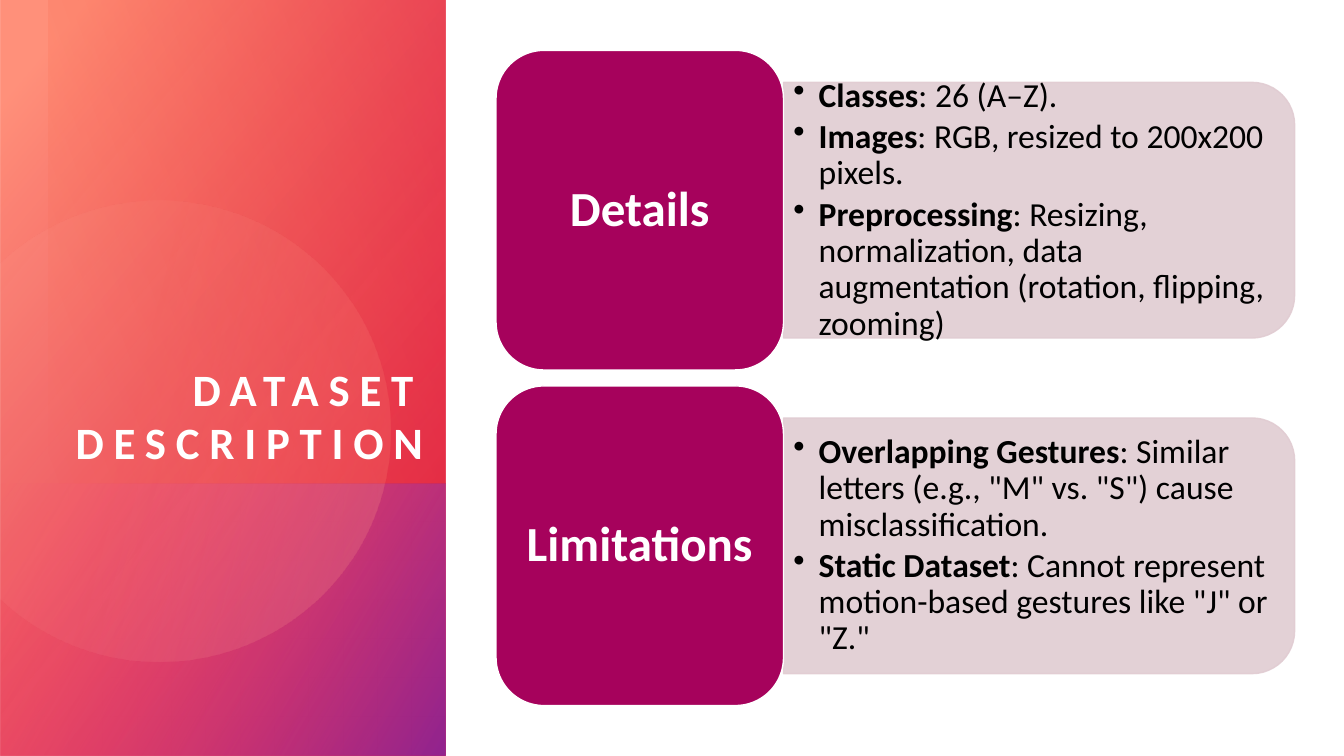
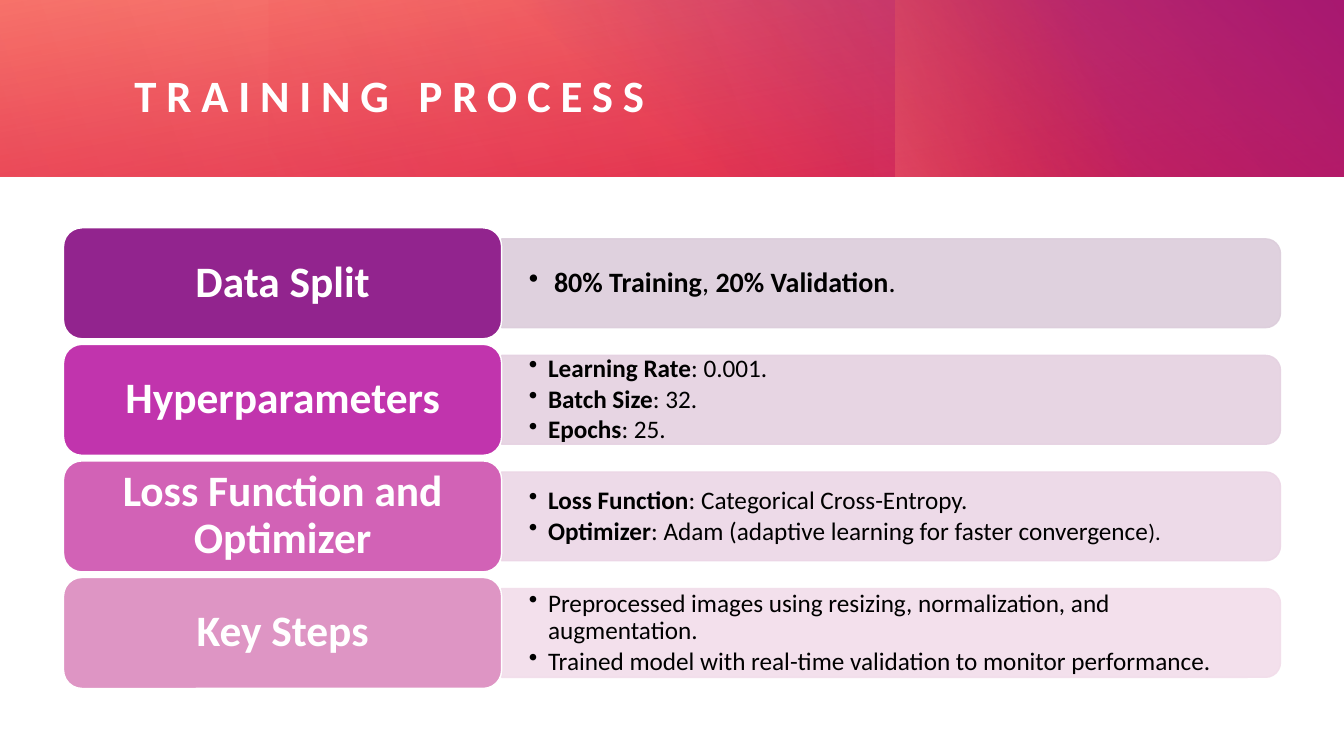
from dataclasses import dataclass
from math import acos, cos, sin

from lxml.etree import SubElement
from pptx import Presentation
from pptx.dml.color import RGBColor
from pptx.enum.shapes import MSO_SHAPE as Preset
from pptx.enum.text import MSO_ANCHOR as Anchor, PP_ALIGN as Align
from pptx.oxml.ns import qn
from pptx.util import Inches, Pt


@dataclass(frozen=True)
class Theme:
    """Colours, type sizes and proportions shared by the slides."""
    font: str = "Calibri"
    white: str = "FFFFFF"
    black: str = "000000"
    red: str = "DA002F"
    orange: str = "FE4A00"
    coral: str = "FF907A"
    peach: str = "FFBCAF"
    pink: str = "FF5076"
    purple: str = "92248E"
    title_size: int = 32
    title_spacing: int = 700
    label_share: float = 0.36
    bar_share: float = 0.8
    gap_share: float = 0.05
    corner_inset: float = 0.05


THEME = Theme()
WIDTH, HEIGHT = 13.33, 7.5


@dataclass(frozen=True)
class Box:
    """A rectangle in inches."""
    left: float
    top: float
    width: float
    height: float

    def portion(self, left, top, width, height):
        """Return a box given as shares of this one."""
        return Box(self.left + left * self.width, self.top + top * self.height,
                   width * self.width, height * self.height)

    def turned(self):
        """Return the box with its sides swapped about the same centre."""
        shift = (self.width - self.height) / 2
        return Box(self.left + shift, self.top - shift, self.height, self.width)

    def lengths(self):
        """Return the four lengths in drawing units."""
        return [Inches(value) for value in (self.left, self.top, self.width, self.height)]


@dataclass(frozen=True)
class Row:
    """A label with its bullets, colours and bullet size."""
    label: str
    bullets: tuple
    fill: str
    tint: str
    size: int
    indent: float = 0.25


def bold(text):
    """Describe a bold run."""
    return text, True, None


def plain(text, size=None):
    """Describe a regular run."""
    return text, False, size


def set_alpha(colour, percent):
    """Make a colour element partly transparent."""
    SubElement(colour, qn("a:alpha"), val=str(percent * 1000))


def fill_gradient(shape, stops, angle):
    """Fill a shape with a linear gradient of (position, colour, opacity) stops."""
    shape.fill.gradient()
    gradient = shape._element.spPr.find(qn("a:gradFill"))
    for child in list(gradient):
        gradient.remove(child)
    stop_list = SubElement(gradient, qn("a:gsLst"))
    for position, colour, opacity in stops:
        stop = SubElement(stop_list, qn("a:gs"), pos=str(position * 1000))
        set_alpha(SubElement(stop, qn("a:srgbClr"), val=colour), opacity)
    SubElement(gradient, qn("a:lin"), ang=str(angle * 60000), scaled="0")
    shape.line.fill.background()
    shape.shadow.inherit = False


def add_preset(slide, preset, box, rotation=0, flip=False):
    """Add a preset shape that covers the box once rotated."""
    frame = box.turned() if rotation % 180 else box
    shape = slide.shapes.add_shape(preset, *frame.lengths())
    shape.rotation = rotation
    shape.shadow.inherit = False
    if flip:
        shape._element.spPr.find(qn("a:xfrm")).set("flipH", "1")
    return shape


def add_layer(slide, box, stops, angle, rotation=0, flip=False):
    """Add one gradient rectangle of a decorated area."""
    shape = add_preset(slide, Preset.RECTANGLE, box, rotation, flip)
    fill_gradient(shape, stops, angle)


def fill_solid(shape, colour, line_colour, opacity=100):
    """Give a shape a solid fill and a one-point line."""
    shape.fill.solid()
    shape.fill.fore_color.rgb = RGBColor.from_string(colour)
    shape.line.width = Pt(1)
    shape.line.color.rgb = RGBColor.from_string(line_colour)
    if opacity < 100:
        for element in shape._element.spPr.iter(qn("a:srgbClr")):
            set_alpha(element, opacity)


def set_frame(shape, anchor, across=0, down=0):
    """Set wrapping, anchor and insets, and return the text frame."""
    frame = shape.text_frame
    frame.word_wrap = True
    frame.vertical_anchor = anchor
    frame.margin_left = frame.margin_right = Inches(across)
    frame.margin_top = frame.margin_bottom = Inches(down)
    return frame


def add_run(paragraph, text, size, colour, is_bold):
    """Append a run of text."""
    run = paragraph.add_run()
    run.text = text
    run.font.name = THEME.font
    run.font.size = Pt(size)
    run.font.bold = is_bold
    run.font.color.rgb = RGBColor.from_string(colour)
    return run


def space_lines(paragraph, after):
    """Set tight lines and the space after as a percentage."""
    paragraph.line_spacing = 0.9
    properties = paragraph._p.get_or_add_pPr()
    space = SubElement(properties, qn("a:spcAft"))
    SubElement(space, qn("a:spcPct"), val=str(after * 1000))
    return properties


def add_title(slide, box, text, align, anchor):
    """Add the widely spaced slide title."""
    frame = set_frame(slide.shapes.add_textbox(*box.lengths()), anchor)
    paragraph = frame.paragraphs[0]
    paragraph.alignment = align
    run = add_run(paragraph, text, THEME.title_size, THEME.white, True)
    run._r.get_or_add_rPr().set("spc", str(THEME.title_spacing))


def add_bullets(slide, box, row, insets):
    """Add the bulleted text of a row."""
    frame = set_frame(slide.shapes.add_textbox(*box.lengths()), Anchor.MIDDLE, *insets)
    for index, runs in enumerate(row.bullets):
        paragraph = frame.add_paragraph() if index else frame.paragraphs[0]
        properties = space_lines(paragraph, 15)
        indent = Inches(row.indent)
        properties.set("marL", str(indent))
        properties.set("indent", str(-indent))
        SubElement(properties, qn("a:buChar"), char="•")
        for text, is_bold, size in runs:
            add_run(paragraph, text, size or row.size, THEME.black, is_bold)


def add_row(slide, box, row, label_size, label_insets, bullet_insets):
    """Add a label with the bar and bullets to its right."""
    share = THEME.label_share
    bar_box = box.portion(share, (1 - THEME.bar_share) / 2, 1 - share, THEME.bar_share)
    bar = add_preset(slide, Preset.ROUND_2_SAME_RECTANGLE, bar_box, 90)
    fill_solid(bar, row.tint, row.tint, 90)
    inset = THEME.corner_inset * bar_box.height
    text_box = Box(bar_box.left, bar_box.top + inset,
                   bar_box.width - inset, bar_box.height - 2 * inset)
    add_bullets(slide, text_box, row, bullet_insets)
    label = add_preset(slide, Preset.ROUNDED_RECTANGLE, box.portion(0, 0, share, 1))
    fill_solid(label, row.fill, THEME.white)
    paragraph = set_frame(label, Anchor.MIDDLE, *label_insets).paragraphs[0]
    paragraph.alignment = Align.CENTER
    space_lines(paragraph, 35)
    add_run(paragraph, row.label, label_size, THEME.white, True)


def add_rows(slide, box, rows, label_size, label_insets, bullet_insets):
    """Stack rows in the box at equal gaps."""
    share = 1 / (len(rows) + THEME.gap_share * (len(rows) - 1))
    for index, row in enumerate(rows):
        row_box = box.portion(0, index * share * (1 + THEME.gap_share), 1, share)
        add_row(slide, row_box, row, label_size, label_insets, bullet_insets)


def add_cut_circle(slide, box):
    """Add a pale circle cut off by the left edge of the box."""
    centre_x, centre_y = box.left + 1.58, box.top + 0.57 * box.height
    radius, steps = 2.29, 120
    reach = acos((box.left - centre_x) / radius)
    angles = [reach * (2 * step / steps - 1) for step in range(steps + 1)]
    points = [(Inches(centre_x + radius * cos(angle)), Inches(centre_y + radius * sin(angle)))
              for angle in angles]
    builder = slide.shapes.build_freeform(*points[0])
    builder.add_line_segments(points[1:], close=True)
    fill_gradient(builder.convert_to_shape(),
                  [(36, THEME.peach, 6), (100, THEME.coral, 26)], 14)


def add_side_panel(slide, box, title):
    """Add the coloured panel with its title at the left."""
    add_layer(slide, box, [(8, THEME.coral, 100), (100, THEME.red, 89)], 50, 270, True)
    add_layer(slide, box.portion(0, 0.64, 1, 0.36),
              [(0, THEME.pink, 0), (99, THEME.purple, 100)], 60, 270, True)
    add_cut_circle(slide, box)
    add_layer(slide, box.portion(0.11, 0, 0.89, 0.64),
              [(0, THEME.red, 29), (100, THEME.orange, 0)], 110, 90, True)
    add_title(slide, box.portion(0.11, 0.13, 0.84, 0.49), title, Align.RIGHT, Anchor.BOTTOM)


def add_header_band(slide, box, title):
    """Add the coloured band with its title at the top."""
    add_layer(slide, box, [(0, THEME.red, 83), (100, THEME.coral, 100)], 260)
    add_layer(slide, box.portion(0.36, 0, 0.64, 1),
              [(22, THEME.purple, 0), (99, THEME.purple, 100)], 310)
    add_layer(slide, box.portion(2 / 3, 0, 0.28, 1),
              [(45, THEME.orange, 0), (99, THEME.coral, 33)], 250, 270)
    add_layer(slide, box.portion(0.2, 0, 0.8, 1),
              [(0, THEME.red, 30), (99, THEME.red, 0)], 330, 180)
    add_layer(slide, box.portion(0, 0, 0.65, 1),
              [(0, THEME.red, 21), (99, THEME.red, 0)], 340)
    add_title(slide, box.portion(0.1, 0.23, 0.85, 0.61), title, Align.LEFT, Anchor.MIDDLE)


DATASET_ROWS = [
    Row("Details", (
        (bold("Classes"), plain(": 26 (A–Z).")),
        (bold("Images"), plain(": RGB, resized to 200x200 pixels.")),
        (bold("Preprocessing"), plain(": Resizing, normalization, data augmentation "
                                      "(rotation, flipping, zooming)")),
    ), "A6025C", "E1CCD2", 24),
    Row("Limitations", (
        (bold("Overlapping Gestures"),
         plain(': Similar letters (e.g., "M" vs. "S") cause misclassification.')),
        (bold("Static Dataset"),
         plain(': Cannot represent motion-based gestures like "J" or "Z."')),
    ), "A6025C", "E1CCD2", 24),
]

TRAINING_ROWS = [
    Row("Data Split", (
        (bold("80% Training"), plain(", "), bold("20% Validation"), plain(".")),
    ), THEME.purple, "DCCDDB", 20),
    Row("Hyperparameters", (
        (bold("Learning Rate"), plain(": 0.001.")),
        (bold("Batch Size"), plain(": 32.")),
        (bold("Epochs"), plain(": 25.")),
    ), "C134AD", "E5D1E1", 18, 0.19),
    Row("Loss Function and Optimizer", (
        (bold("Loss Function"), plain(": Categorical Cross-Entropy.")),
        (bold("Optimizer"), plain(": Adam (adaptive learning for faster convergence"),
         plain(").", 16)),
    ), "D262B6", "ECD6E6", 18, 0.19),
    Row("Key Steps", (
        (plain("Preprocessed images using resizing, normalization, and augmentation."),),
        (plain("Trained model with real-time validation to monitor performance."),),
    ), "DE95C4", "F2DDEA", 18, 0.19),
]


def main():
    """Build both slides and save the presentation."""
    presentation = Presentation()
    presentation.slide_width, presentation.slide_height = Inches(WIDTH), Inches(HEIGHT)
    blank = presentation.slide_layouts[6]
    dataset, training = [presentation.slides.add_slide(blank) for _ in range(2)]
    add_side_panel(dataset, Box(0, 0, 4.42, HEIGHT), "DATASET DESCRIPTION")
    add_rows(dataset, Box(4.92, 0.5, 7.92, 6.5), DATASET_ROWS, 35, (0.15, 0.07), (0.1, 0.05))
    add_header_band(training, Box(0, 0, WIDTH, 1.75), "TRAINING PROCESS")
    add_rows(training, Box(0.63, 2.26, 12.07, 4.57), TRAINING_ROWS, 31,
             (0.13, 0.06), (0.27, 0.14))
    presentation.save("out.pptx")


if __name__ == "__main__":
    main()
